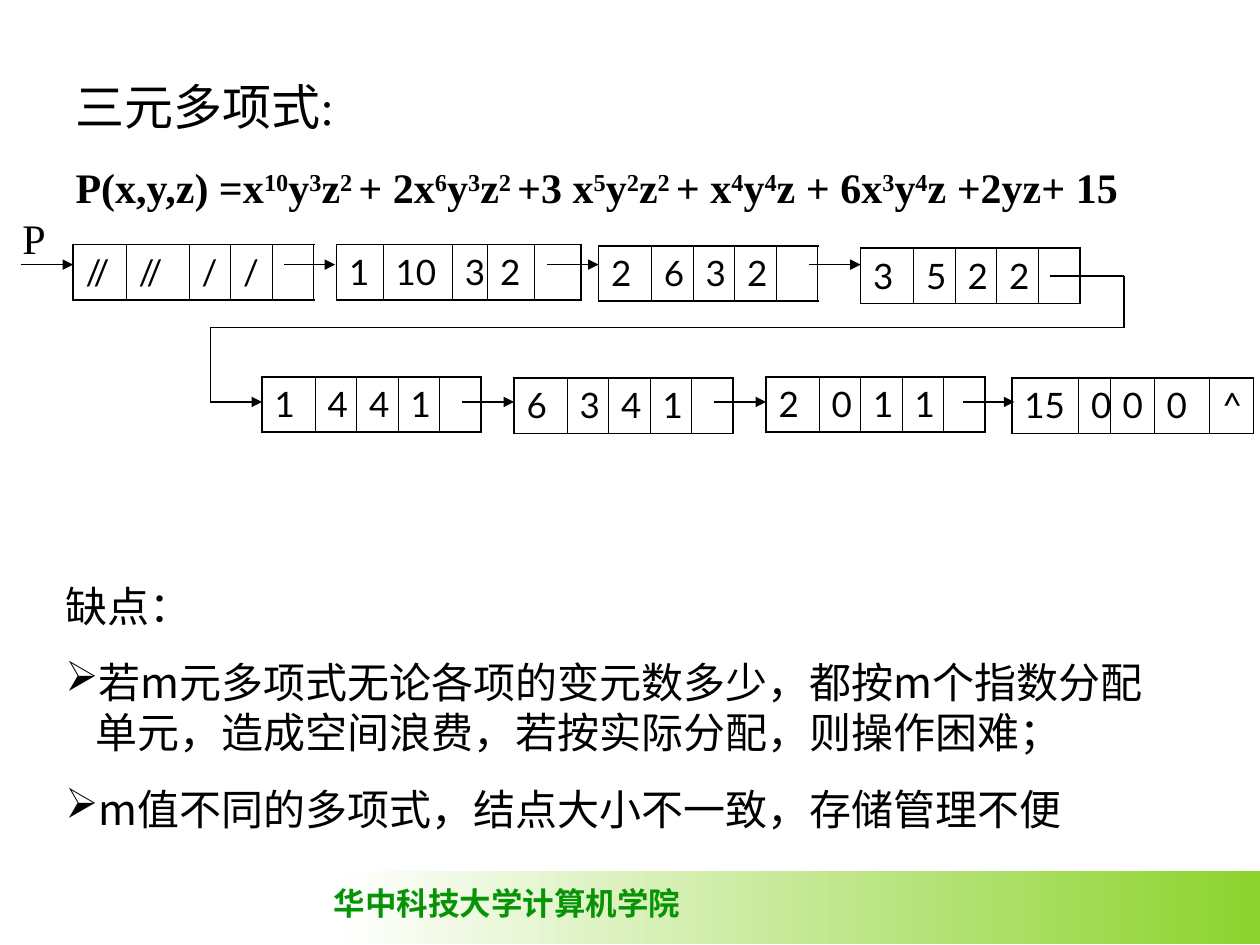
"""Build the slide on linked-list storage of a polynomial in three variables."""
from lxml import etree
from pptx import Presentation
from pptx.dml.color import RGBColor
from pptx.enum.shapes import MSO_CONNECTOR, MSO_SHAPE
from pptx.enum.text import MSO_ANCHOR, MSO_AUTO_SIZE, PP_ALIGN
from pptx.oxml.ns import qn
from pptx.util import Inches, Pt

LINE = MSO_CONNECTOR.STRAIGHT
RECT = MSO_SHAPE.RECTANGLE
TOP = MSO_ANCHOR.TOP
GROW = MSO_AUTO_SIZE.SHAPE_TO_FIT_TEXT
LEFT = PP_ALIGN.LEFT

INK = {"black": "000000", "white": "FFFFFF", "lime": "8CD32D", "green": "069406"}
SERIF, HAN, SANS = "Times New Roman", "Noto Sans CJK SC", "Lato"

POLY = ["P(x,y,z) =x", "10", "y", "3", "z", "2 ", "+ 2x", "6", "y", "3", "z", "2 ",
        "+3 x", "5", "y", "2", "z", "2 ", "+ x", "4", "y", "4", "z + 6x", "3", "y",
        "4", "z +2yz+ 15"]
FLAWS = ["若m元多项式无论各项的变元数多少，都按m个指数分配单元，造成空间浪费，若按实际分配，则操作困难；",
         "m值不同的多项式，结点大小不一致，存储管理不便"]

COLS = [0.42, 0.33, 0.33, 0.33, 0.33]
NODES = [
    (0.58, 1.94, ["//", "//", "/", "/", ""], [0.42, 0.5, 0.33, 0.33, 0.33]),
    (2.67, 1.94, ["1", "10", "3", "2", ""], [0.37, 0.55, 0.28, 0.37, 0.37]),
    (4.75, 1.95, ["2", "6", "3", "2", ""], COLS),
    (6.83, 1.97, ["3", "5", "2", "2", ""], COLS),
    (2.08, 2.99, ["1", "4", "4", "1", ""], COLS),
    (4.08, 3, ["6", "3", "4", "1", ""], COLS),
    (6.08, 2.99, ["2", "0", "1", "1", ""], COLS),
    (8.03, 3, ["15", "0", "0", "0", "^"], [0.53, 0.25, 0.35, 0.44, 0.35]),
]
HEADS = [(2.1, [0.58, 2.66, 4.75, 6.83]), (3.19, [2.08, 4.08, 6.08, 8.05])]
BEND = [(8.33, 2.19), (8.92, 2.19), (8.92, 2.6), (1.67, 2.6), (1.67, 3.19)]


class Deck:
    """Hold the style and the current slide."""

    def __init__(self):
        self.show = Presentation()
        self.show.slide_width, self.show.slide_height = Inches(10), Inches(7.5)
        self.slide = self.show.slides.add_slide(self.show.slide_layouts[5])
        self.shapes = self.slide.shapes

    def tint(self, name):
        return RGBColor.from_string(INK[name])

    def style(self, para, size, face, ink="black", bold=False):
        para.alignment = LEFT
        for run in para.runs:
            font = run.font
            font.size, font.name, font.bold = Pt(size), face, bold
            font.color.rgb = self.tint(ink)
            east = etree.SubElement(run._r.get_or_add_rPr(), qn("a:ea"))
            east.set("typeface", HAN)

    def frame(self, box, pad=0.09, wrap=True):
        text = box.text_frame
        text.word_wrap, text.auto_size = wrap, GROW
        text.vertical_anchor, text.margin_top = TOP, Inches(pad)
        return text

    def box(self, left, top, width, height, pad=0.09, wrap=True):
        shape = self.shapes.add_textbox(*map(Inches, (left, top, width, height)))
        return self.frame(shape, pad, wrap)

    def title(self, words, parts):
        head = self.shapes.title
        head.left, head.top = Inches(0.5), Inches(0.52)
        head.width, head.height = Inches(8.92), Inches(1.23)
        text = self.frame(head)
        text.text = words
        first = text.paragraphs[0]
        first.line_spacing = Pt(33.6)
        self.style(first, 28, SERIF)
        para = text.add_paragraph()
        para.space_before = Pt(15)
        for i, part in enumerate(parts):
            run = para.add_run()
            run.text = part
            if i % 2:
                run._r.get_or_add_rPr().set("baseline", "30000")
        self.style(para, 24, SERIF, bold=True)

    def label(self, words, place, size, face, **look):
        text = self.box(*place)
        text.text = words
        self.style(text.paragraphs[0], size, face, **look)

    def list(self, head, items, place):
        text = self.box(*place)
        text.text = head
        for item in items:
            para = text.add_paragraph()
            para.text = item
            para.space_before = Pt(15)
            props = para._p.get_or_add_pPr()
            props.set("marL", str(Inches(0.24)))
            props.set("indent", str(-Inches(0.24)))
            etree.SubElement(props, qn("a:buChar")).set("char", "➢")
        for para in text.paragraphs:
            para.line_spacing = Pt(28.6)
            self.style(para, 24, HAN)

    def edge(self, cell, side, width):
        line = etree.SubElement(cell._tc.get_or_add_tcPr(), qn("a:ln" + side))
        line.set("w", str(Pt(width)))
        fill = etree.SubElement(line, qn("a:solidFill"))
        etree.SubElement(fill, qn("a:srgbClr")).set("val", INK["black"])

    def node(self, left, top, words, cols):
        spot = map(Inches, (left, top, sum(cols), 0.44))
        table = self.shapes.add_table(1, len(cols), *spot).table
        table.first_row = table.horz_banding = False
        last = len(cols) - 1
        for i, (word, width) in enumerate(zip(words, cols)):
            table.columns[i].width = Inches(width)
            cell = table.cell(0, i)
            cell.text = word
            self.style(cell.text_frame.paragraphs[0], 20, SANS)
            self.edge(cell, "L", 1.08 if i == 0 else 0.45)
            self.edge(cell, "R", 1.08 if i == last else 0.45)
            self.edge(cell, "T", 1.08)
            self.edge(cell, "B", 1.08)
            cell.fill.background()

    def line(self, start, end, arrow=False):
        link = self.shapes.add_connector(LINE, *map(Inches, start + end))
        link.line.width = Pt(0.75)
        link.line.color.rgb = self.tint("black")
        props = link._element.spPr
        if arrow:
            tail = etree.SubElement(props.find(qn("a:ln")), qn("a:tailEnd"))
            tail.set("type", "triangle")
        etree.SubElement(props, qn("a:effectLst"))

    def band(self, left, top, width, height):
        bar = self.shapes.add_shape(RECT, *map(Inches, (left, top, width, height)))
        bar.shadow.inherit = False
        bar.line.fill.background()
        bar.fill.gradient()
        bar.fill.gradient_angle = 0
        for stop, ink, place in zip(bar.fill.gradient_stops, ("white", "lime"), (0, 1)):
            stop.color.rgb, stop.position = self.tint(ink), place


def main():
    deck = Deck()
    deck.band(2.67, 6.91, 7.33, 0.58)
    deck.label("华中科技大学计算机学院", (2.55, 6.97, 2.95, 0.4, 0.05, False),
               18, SERIF, ink="green", bold=True)
    deck.title("三元多项式:", POLY)
    for node in NODES:
        deck.node(*node)
    deck.label("P", (0.08, 1.6, 0.67, 0.5), 24, SERIF)
    for y, ends in HEADS:
        for x in ends:
            deck.line((x - 0.41, y), (x, y), arrow=True)
    for start, end in zip(BEND, BEND[1:]):
        deck.line(start, end)
    deck.list("缺点：", FLAWS, (0.42, 4.52, 9, 2.73))
    deck.show.save("out.pptx")


if __name__ == "__main__":
    main()
